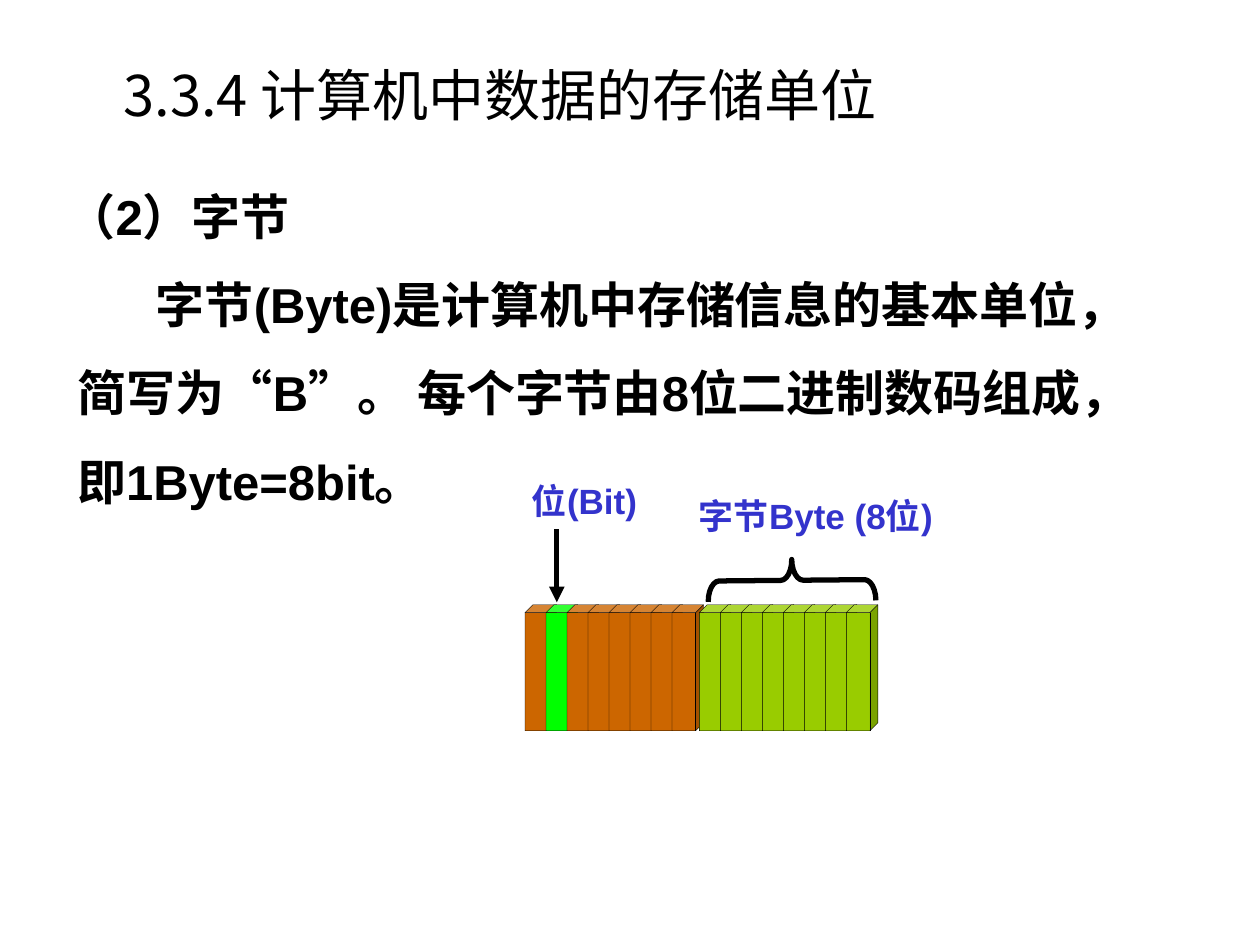
from dataclasses import dataclass

from lxml import etree
from pptx import Presentation
from pptx import util as u
from pptx.dml.color import RGBColor
from pptx.enum import shapes, text
from pptx.oxml import ns

BLACK = RGBColor(0x00, 0x00, 0x00)
BLUE = RGBColor(0x33, 0x33, 0xCC)
ORANGE = RGBColor(0xCC, 0x66, 0x00)
GREEN = RGBColor(0x00, 0xFF, 0x00)
LIME = RGBColor(0x99, 0xCC, 0x00)

LATIN_FONT = "Arial"
CJK_FONT = "Noto Sans CJK SC"

CUBE_TOP, CUBE_WIDTH, CUBE_HEIGHT, CUBE_STEP = 345.6, 18, 72, 12


@dataclass
class ByteBlock:
    """Eight bits in a row, one cube for each colour."""
    left: float
    colors: list[RGBColor]


@dataclass
class Line:
    """One paragraph of the body text."""
    words: str
    margin: float = 0
    indent: float = 0
    spacing: float = 1.0


def points(*lengths: float) -> list[u.Pt]:
    return [u.Pt(length) for length in lengths]


def write(paragraph, words: str, *, size: float, color: RGBColor = BLACK,
          font: str = LATIN_FONT, bold: bool = True, align=text.PP_ALIGN.LEFT) -> None:
    paragraph.alignment = align
    run = paragraph.add_run()
    run.text = words
    run.font.name = font
    run.font.size = u.Pt(size)
    run.font.bold = bold
    run.font.color.rgb = color
    east_asian = etree.SubElement(run.font._element, ns.qn("a:ea"))
    east_asian.set("typeface", CJK_FONT)


def add_label(parent, words: str, left: float, top: float, width: float) -> None:
    frame = parent.add_textbox(*points(left, top, width, 31.7)).text_frame
    frame.word_wrap = True
    frame.vertical_anchor = text.MSO_ANCHOR.MIDDLE
    write(frame.paragraphs[0], words, size=20, color=BLUE, align=text.PP_ALIGN.CENTER)


def add_byte_block(parent, block: ByteBlock) -> None:
    for index, color in enumerate(block.colors):
        left = block.left + index * CUBE_STEP
        cube = parent.add_shape(shapes.MSO_SHAPE.CUBE,
                                *points(left, CUBE_TOP, CUBE_WIDTH, CUBE_HEIGHT))
        cube.shadow.inherit = False
        cube.adjustments[0] = 0.25
        cube.fill.solid()
        cube.fill.fore_color.rgb = color
        cube.line.color.rgb = BLACK
        cube.line.width = u.Pt(0.25)


def add_arrow(parent, x: float, top: float, bottom: float) -> None:
    arrow = parent.add_connector(shapes.MSO_CONNECTOR.STRAIGHT, *points(x, top, x, bottom))
    arrow.line.color.rgb = BLACK
    arrow.line.width = u.Pt(3)
    head = etree.SubElement(arrow.line._get_or_add_ln(), ns.qn("a:tailEnd"))
    head.set("type", "triangle")
    etree.SubElement(arrow._element.spPr, ns.qn("a:effectLst"))


def add_brace(parent) -> None:
    brace = parent.add_shape(shapes.MSO_SHAPE.LEFT_BRACE, *points(440.6, 283.7, 23.8, 95.8))
    brace.shadow.inherit = False
    brace.rotation = 89.5
    brace.adjustments[0] = 0.27
    brace.adjustments[1] = 0.5
    brace.fill.background()
    brace.line.color.rgb = BLACK
    brace.line.width = u.Pt(3)


def add_body(parent, lines: list[Line]) -> None:
    frame = parent.add_textbox(*points(31, 103, 670.3, 193.7)).text_frame
    frame.word_wrap = True
    for index, line in enumerate(lines):
        paragraph = frame.add_paragraph() if index else frame.paragraphs[0]
        properties = paragraph._p.get_or_add_pPr()
        properties.set("marL", str(u.Pt(line.margin)))
        properties.set("indent", str(u.Pt(line.indent)))
        paragraph.line_spacing = line.spacing
        write(paragraph, line.words, size=28)


def main() -> None:
    presentation = Presentation()
    presentation.slide_width, presentation.slide_height = points(720, 540)
    slide = presentation.slides.add_slide(presentation.slide_layouts[5])

    # Title
    title = slide.shapes.title
    title.left, title.top, title.width, title.height = points(48, 31.7, 476, 44.6)
    title.text_frame.auto_size = text.MSO_AUTO_SIZE.NONE
    title.text_frame.vertical_anchor = text.MSO_ANCHOR.MIDDLE
    write(title.text_frame.paragraphs[0], "3.3.4 计算机中数据的存储单位", size=32,
          font=CJK_FONT, bold=False, align=text.PP_ALIGN.CENTER)

    # Explanation of the byte
    add_body(slide.shapes, [
        Line("（2）字节"),
        Line("字节(Byte)是计算机中存储信息的基本单位，", margin=6, indent=45, spacing=1.5),
        Line("简写为“B”。 每个字节由8位二进制数码组成，", margin=6, spacing=1.5),
        Line("即1Byte=8bit。", margin=6, spacing=1.5),
    ])

    # First byte, with one bit pointed out
    bit_group = slide.shapes.add_group_shape().shapes
    add_byte_block(bit_group, ByteBlock(300, [ORANGE, GREEN] + [ORANGE] * 6))
    add_label(bit_group, "位(Bit)", 296.6, 270, 74.9)
    add_arrow(bit_group, 318.2, 302.4, 344.2)

    # Second byte, marked as a whole
    add_label(slide.shapes, "字节Byte (8位)", 391.7, 278.6, 149)
    add_brace(slide.shapes)
    byte_group = slide.shapes.add_group_shape().shapes
    add_byte_block(byte_group, ByteBlock(399.6, [LIME] * 8))

    presentation.save("out.pptx")


if __name__ == "__main__":
    main()
